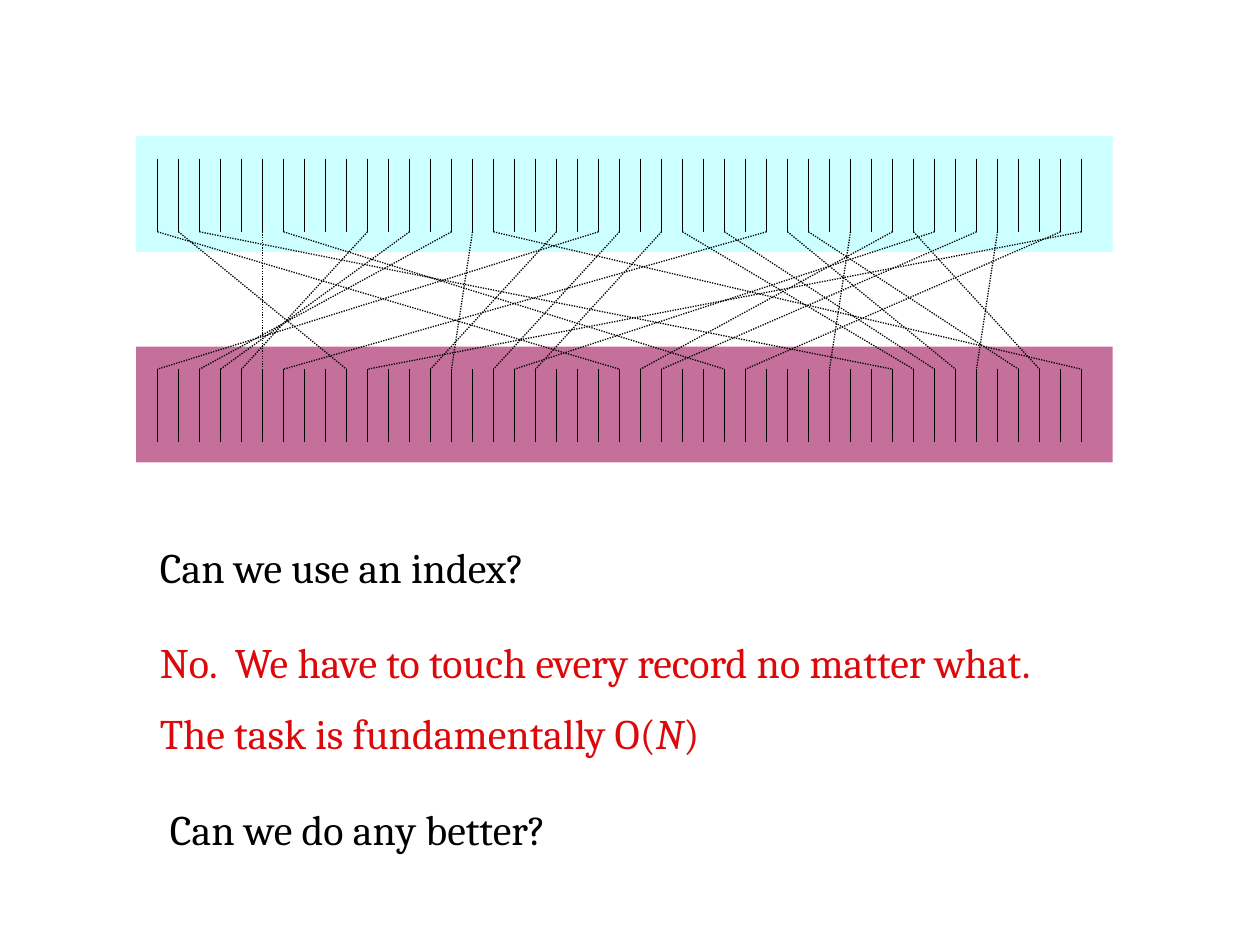
import pptx
import pptx.util
import pptx.dml.color
import pptx.enum.dml
import pptx.enum.shapes
import pptx.enum.text
from pptx.oxml.ns import qn

W, H = 10, 7.5
FONT = "Cambria"
BLACK, RED = "000000", "DD080A"

# Record grid: 45 records, six to the inch
RECORDS, FIRST_X, STEP = 45, 1.25, 1 / 6
BAND_X, BAND_W, BAND_H = 1.08, 7.75, 0.92
TOP_BAND, LOW_BAND = 1.08, 2.75
TICK_INSET, TICK_H = 0.18, 0.58

# Upper record number, lower record number
LINKS = [
    (0, 22), (1, 9), (2, 35), (19, 13), (12, 3), (31, 41), (27, 37),
    (43, 28), (36, 42), (39, 24), (44, 10), (29, 6), (30, 38), (35, 23),
    (24, 18), (21, 0), (14, 2), (6, 27), (16, 44), (25, 36), (22, 16),
    (37, 17), (10, 4), (5, 5), (33, 32), (15, 14), (40, 39),
]


def inch(v):
    return pptx.util.Inches(v)


def color(fmt, hex_color):
    fmt.rgb = pptx.dml.color.RGBColor.from_string(hex_color)


def record_x(i):
    return FIRST_X + i * STEP


def add_band(s, y, fill):
    sp = s.shapes.add_shape(pptx.enum.shapes.MSO_SHAPE.RECTANGLE,
                            inch(BAND_X), inch(y), inch(BAND_W), inch(BAND_H))
    sp.shadow.inherit = False
    sp.fill.solid()
    color(sp.fill.fore_color, fill)
    sp.line.fill.background()


def add_line(s, x1, y1, x2, y2, dash=None):
    ln = s.shapes.add_connector(pptx.enum.shapes.MSO_CONNECTOR.STRAIGHT,
                                inch(x1), inch(y1), inch(x2), inch(y2))
    color(ln.line.color, BLACK)
    ln.line.width = pptx.util.Pt(0.75)
    if dash:
        ln.line.dash_style = dash
    spPr = ln._element.spPr
    spPr.append(spPr.makeelement(qn("a:effectLst"), {}))


def add_ticks(s, band_y):
    y = band_y + TICK_INSET
    for i in range(RECORDS):
        add_line(s, record_x(i), y, record_x(i), y + TICK_H)


def add_run(p, text, size=24, fill=BLACK, italic=False):
    r = p.add_run()
    r.text = text
    r.font.name = FONT
    r.font.size = pptx.util.Pt(size)
    r.font.italic = italic
    color(r.font.color, fill)


def add_text(s, x, y, w, h, paragraphs, fill=BLACK):
    """Each paragraph is a list of (text, italic) runs."""
    tf = s.shapes.add_textbox(inch(x), inch(y), inch(w), inch(h)).text_frame
    tf.word_wrap = True
    tf.auto_size = pptx.enum.text.MSO_AUTO_SIZE.SHAPE_TO_FIT_TEXT
    for i, runs in enumerate(paragraphs):
        p = tf.add_paragraph() if i else tf.paragraphs[0]
        if i:
            p.space_before = pptx.util.Pt(12)
        for text, italic in runs:
            add_run(p, text, fill=fill, italic=italic)


def main():
    prs = pptx.Presentation()
    prs.slide_width, prs.slide_height = inch(W), inch(H)
    s = prs.slides.add_slide(prs.slide_layouts[6])

    # Two bands of records
    add_band(s, TOP_BAND, "CCFFFF")
    add_band(s, LOW_BAND, "C4709A")
    add_ticks(s, LOW_BAND)
    add_ticks(s, TOP_BAND)

    # Matches between the bands
    for upper, lower in LINKS:
        add_line(s, record_x(upper), TOP_BAND + TICK_INSET + TICK_H,
                 record_x(lower), LOW_BAND + TICK_INSET,
                 dash=pptx.enum.dml.MSO_LINE.ROUND_DOT)

    # Questions and answer
    add_text(s, 1.17, 4.25, 3.58, 0.5, [[("Can we use an index?", False)]])
    add_text(s, 1.17, 5, 7.67, 1.1, [
        [("No.  We have to touch every record no matter what.", False)],
        [("The task is fundamentally O(", False), ("N", True), (")", False)],
    ], fill=RED)
    add_text(s, 1.25, 6.33, 3.58, 0.5, [[("Can we do any better?", False)]])

    prs.save("out.pptx")


if __name__ == "__main__":
    main()
